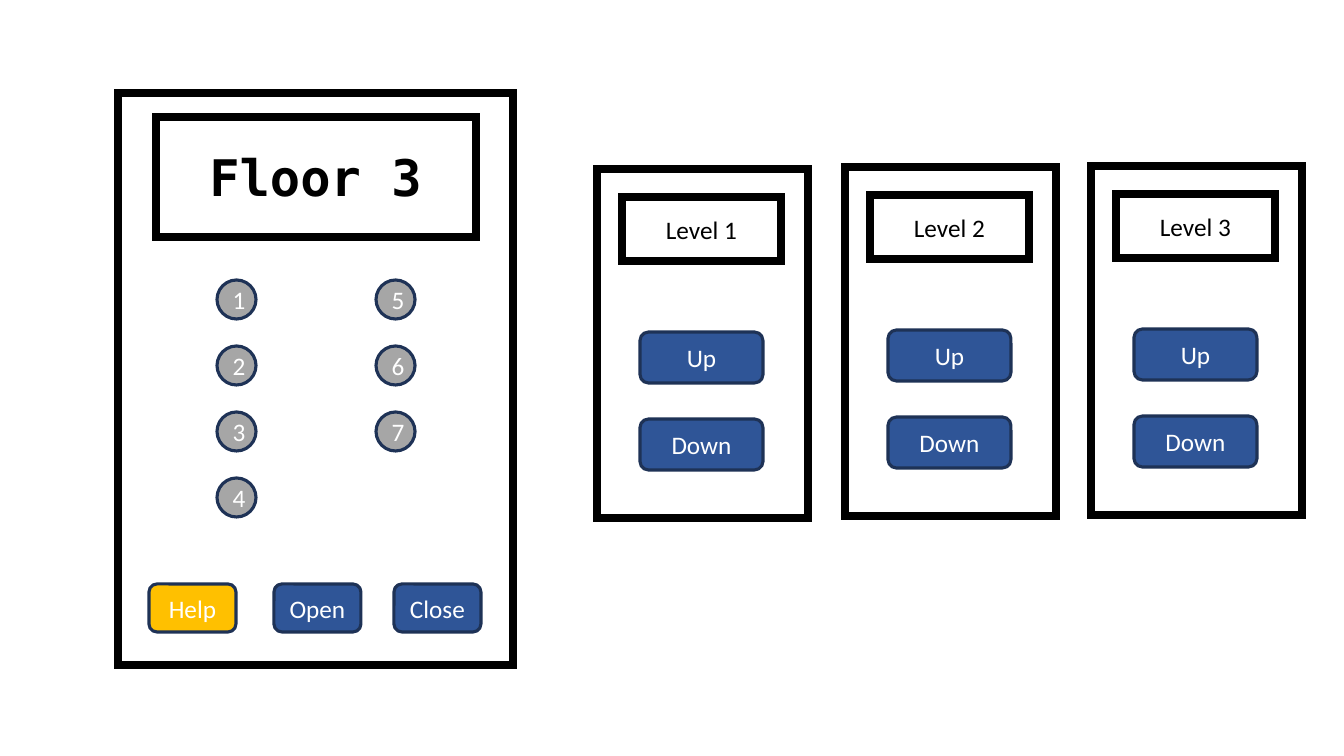
import pptx
import pptx.util
import pptx.dml.color
import pptx.enum.shapes
import pptx.enum.text
import pptx.oxml
import pptx.oxml.ns

PX = 914400 / 100.8
SLIDE = (1344, 756)
FONT, DISPLAY_FONT = "Calibri", "DejaVu Sans Mono"
COLORS = {
    "black": "000000", "white": "FFFFFF", "grey": "A6A6A6",
    "blue": "2F5597", "yellow": "FFC000", "outline": "1E3256",
}

# Boxes are left, top, width, height in px
CABIN = (118, 93, 395, 572)
DISPLAY = (156, 117, 320, 120)
DISPLAY_TEXT = ("Floor 3", (197, 141, 237, 72))
FLOOR_COLUMNS = [(217, ["1", "2", "3", "4"]), (376, ["5", "6", "7"])]
FLOOR_TOP, FLOOR_STEP, FLOOR_SIZE = 280, 66, 39
CABIN_BUTTONS = [("Help", 149, "yellow"), ("Open", 274, "blue"), ("Close", 394, "blue")]
CABIN_BUTTON_TOP, CABIN_BUTTON_SIZE = 584, (87, 48)

LEVELS = [("Level 1", 597, 169), ("Level 2", 845, 167), ("Level 3", 1091, 166)]
LEVEL_SIZE = (211, 349)
# Offsets from the corner of a level panel
SIGN = (25, 28, 159, 64)
SIGN_TEXT = (59, 40, 93, 40)
LEVEL_BUTTONS = [("Up", (43, 163, 123, 51)), ("Down", (43, 250, 123, 51))]

SHAPE = pptx.enum.shapes.MSO_SHAPE
ALIGN = pptx.enum.text.PP_ALIGN

prs = pptx.Presentation()
prs.slide_width, prs.slide_height = (round(n * PX) for n in SLIDE)
shapes = prs.slides.add_slide(prs.slide_layouts[6]).shapes


def emu(box):
    return [round(n * PX) for n in box]


def rgb(name):
    return pptx.dml.color.RGBColor.from_string(COLORS[name])


def add_outlined(kind, box, color, width):
    s = shapes.add_shape(kind, *emu(box))
    s.shadow.inherit = False
    s.line.color.rgb = rgb(color)
    s.line.width = pptx.util.Pt(width)
    return s


def add_frame(box):
    """Add an unfilled rectangle with a thick, sharp-cornered border."""
    s = add_outlined(SHAPE.RECTANGLE, box, "black", 6)
    s.fill.background()
    ln = s.element.spPr.find(pptx.oxml.ns.qn("a:ln"))
    ln.append(pptx.oxml.parse_xml(
        f'<a:miter {pptx.oxml.ns.nsdecls("a")} lim="800000"/>'))


def write(tf, text, color, size=18, font=FONT, bold=False, align=ALIGN.CENTER):
    p = tf.paragraphs[0]
    p.text = text
    p.alignment = align
    p.font.name = font
    p.font.size = pptx.util.Pt(size)
    p.font.bold = bold
    p.font.color.rgb = rgb(color)


def add_button(kind, box, text, color):
    s = add_outlined(kind, box, "outline", 2.25)
    s.fill.solid()
    s.fill.fore_color.rgb = rgb(color)
    s.text_frame.vertical_anchor = pptx.enum.text.MSO_ANCHOR.MIDDLE
    write(s.text_frame, text, "white")


def add_label(box, text, wrap, **style):
    tf = shapes.add_textbox(*emu(box)).text_frame
    tf.word_wrap = wrap
    tf.auto_size = pptx.enum.text.MSO_AUTO_SIZE.SHAPE_TO_FIT_TEXT
    write(tf, text, "black", **style)


# Cabin panel
add_frame(CABIN)
add_frame(DISPLAY)
text, box = DISPLAY_TEXT
add_label(box, text, True, size=36, font=DISPLAY_FONT, bold=True)
for x, floors in FLOOR_COLUMNS:
    for row, floor in enumerate(floors):
        box = (x, FLOOR_TOP + row * FLOOR_STEP, FLOOR_SIZE, FLOOR_SIZE)
        add_button(SHAPE.OVAL, box, floor, "grey")
for text, x, color in CABIN_BUTTONS:
    add_button(SHAPE.ROUNDED_RECTANGLE, (x, CABIN_BUTTON_TOP, *CABIN_BUTTON_SIZE), text, color)

# Level panels
for level, left, top in LEVELS:
    def inside(box):
        x, y, w, h = box
        return left + x, top + y, w, h

    add_frame((left, top, *LEVEL_SIZE))
    add_frame(inside(SIGN))
    add_label(inside(SIGN_TEXT), level, False, align=ALIGN.LEFT)
    for text, box in LEVEL_BUTTONS:
        add_button(SHAPE.ROUNDED_RECTANGLE, inside(box), text, "blue")

prs.save("out.pptx")
